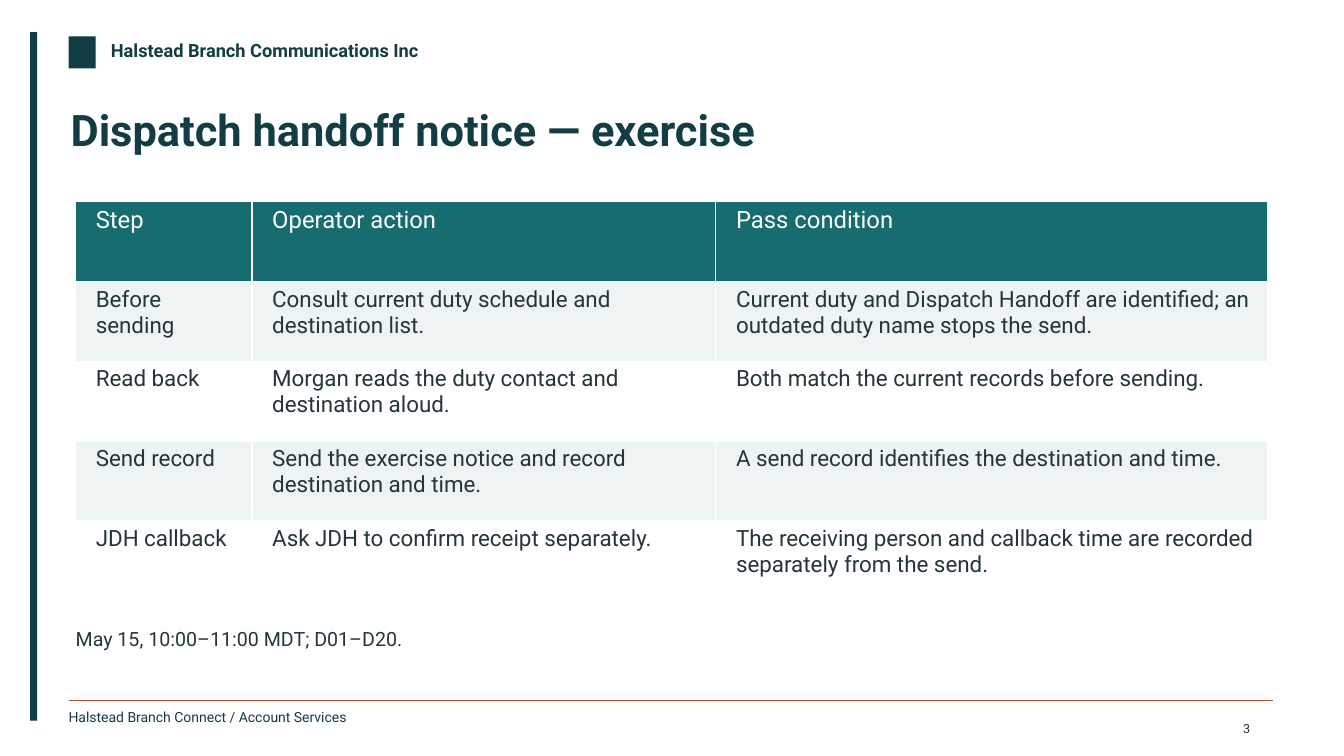
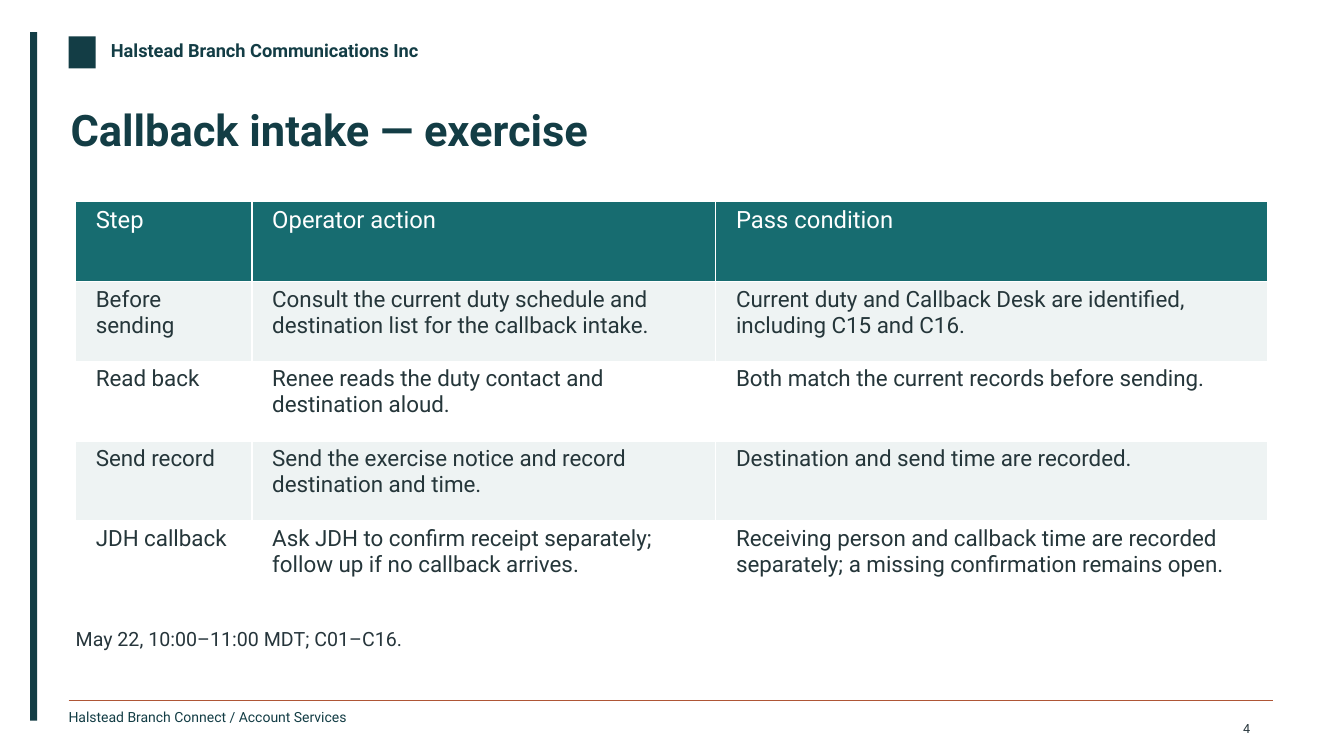
from lxml import etree
from pptx import Presentation
from pptx.dml.color import RGBColor
from pptx.enum import shapes, text
from pptx.oxml.ns import qn
from pptx.util import Inches, Pt

FONT = "Roboto"
NAVY, TEAL, RUST = "133D45", "176C70", "AF5636"
INK, TABLE_INK, WHITE, PALE = "26353B", "25363A", "FFFFFF", "EEF3F3"

COMPANY = "Halstead Branch Communications Inc"
FOOTER = "Halstead Branch Connect / Account Services"
HEADINGS = ("Step", "Operator action", "Pass condition")
COLUMN_WIDTHS = (1.75, 4.6, 5.47)
TABLE_LEFT, TABLE_TOP, TABLE_HEIGHT = 0.75, 2, 3.96
FIRST_NUMBER = 3

EXERCISES = [
    {
        "title": "Dispatch handoff notice — exercise",
        "steps": [
            ("Before sending", "Consult current duty schedule and destination list.",
             "Current duty and Dispatch Handoff are identified; an outdated duty name stops the send."),
            ("Read back", "Morgan reads the duty contact and destination aloud.",
             "Both match the current records before sending."),
            ("Send record", "Send the exercise notice and record destination and time.",
             "A send record identifies the destination and time."),
            ("JDH callback", "Ask JDH to confirm receipt separately.",
             "The receiving person and callback time are recorded separately from the send."),
        ],
        "schedule": "May 15, 10:00–11:00 MDT; D01–D20.",
    },
    {
        "title": "Callback intake — exercise",
        "steps": [
            ("Before sending",
             "Consult the current duty schedule and destination list for the callback intake.",
             "Current duty and Callback Desk are identified, including C15 and C16."),
            ("Read back", "Renee reads the duty contact and destination aloud.",
             "Both match the current records before sending."),
            ("Send record", "Send the exercise notice and record destination and time.",
             "Destination and send time are recorded."),
            ("JDH callback",
             "Ask JDH to confirm receipt separately; follow up if no callback arrives.",
             "Receiving person and callback time are recorded separately; "
             "a missing confirmation remains open."),
        ],
        "schedule": "May 22, 10:00–11:00 MDT; C01–C16.",
    },
]


def color(value):
    return RGBColor.from_string(value)


def style(paragraph, size, ink, bold=False, align=text.PP_ALIGN.LEFT):
    paragraph.alignment = align
    font = paragraph.font
    font.name, font.size, font.bold = FONT, Pt(size), bold
    font.color.rgb = color(ink)


def clear_margins(frame):
    frame.margin_left = frame.margin_top = frame.margin_right = frame.margin_bottom = 0


def add_bar(slide, box, fill):
    bar = slide.shapes.add_shape(shapes.MSO_SHAPE.RECTANGLE, *map(Inches, box))
    bar.shadow.inherit = False
    bar.fill.solid()
    bar.fill.fore_color.rgb = color(fill)
    bar.line.fill.background()
    return bar


def add_label(slide, words, box, size, ink, bold=False):
    label = slide.shapes.add_textbox(*map(Inches, box))
    frame = label.text_frame
    frame.word_wrap = True
    clear_margins(frame)
    frame.text = words
    style(frame.paragraphs[0], size, ink, bold)
    return label


def add_rule(slide, left, right, y):
    rule = slide.shapes.add_connector(
        shapes.MSO_CONNECTOR.STRAIGHT, Inches(left), Inches(y), Inches(right), Inches(y))
    rule.line.color.rgb = color(RUST)
    rule.line.width = Pt(1)
    etree.SubElement(rule.element.spPr, qn("a:effectLst"))
    return rule


def build_frame(layout, slide):
    for placeholder in list(layout.placeholders):
        if placeholder.placeholder_format.type != shapes.PP_PLACEHOLDER.TITLE:
            layout.shapes.element.remove(placeholder.element)
    parts = [
        add_bar(slide, (0.3, 0.32, 0.07, 6.83), NAVY),
        add_bar(slide, (0.68, 0.36, 0.27, 0.32), NAVY),
        add_label(slide, COMPANY, (1.1, 0.39, 3.55, 0.27), 13, NAVY, True),
        add_rule(slide, 0.68, 12.63, 6.95),
        add_label(slide, FOOTER, (0.68, 7.03, 4, 0.23), 10, NAVY),
    ]
    for part in parts:
        layout.shapes.element.append(part.element)


def set_title(slide, words):
    title = slide.shapes.title
    title.left, title.top, title.width, title.height = map(Inches, (0.7, 1.02, 11.9, 0.86))
    frame = title.text_frame
    clear_margins(frame)
    frame.auto_size = text.MSO_AUTO_SIZE.NONE
    frame.vertical_anchor = text.MSO_ANCHOR.TOP
    frame.text = words
    style(frame.paragraphs[0], 31, NAVY, True)


def add_steps(slide, steps):
    rows = [HEADINGS, *steps]
    table = slide.shapes.add_table(
        len(rows), len(HEADINGS), Inches(TABLE_LEFT), Inches(TABLE_TOP),
        Inches(sum(COLUMN_WIDTHS)), Inches(TABLE_HEIGHT)).table
    table.horz_banding = False
    for column, width in zip(table.columns, COLUMN_WIDTHS):
        column.width = Inches(width)
    for r, row in enumerate(rows):
        if r == 0:
            fill, size, ink = TEAL, 17, WHITE
        else:
            fill, size, ink = (PALE if r % 2 else WHITE), 16, TABLE_INK
        for c, words in enumerate(row):
            cell = table.cell(r, c)
            cell.margin_left = Inches(0.2)
            cell.fill.solid()
            cell.fill.fore_color.rgb = color(fill)
            cell.text = words
            style(cell.text_frame.paragraphs[0], size, ink)


def add_number(slide, number):
    label = add_label(slide, str(number), (12, 7.15, 0.4, 0.15), 9, INK)
    label.text_frame.paragraphs[0].alignment = text.PP_ALIGN.RIGHT


def main():
    prs = Presentation()
    prs.slide_width, prs.slide_height = Inches(13.33), Inches(7.5)
    layout = prs.slide_layouts[5]
    for number, exercise in enumerate(EXERCISES, FIRST_NUMBER):
        slide = prs.slides.add_slide(layout)
        if number == FIRST_NUMBER:
            build_frame(layout, slide)
        set_title(slide, exercise["title"])
        add_steps(slide, exercise["steps"])
        add_label(slide, exercise["schedule"],
                  (TABLE_LEFT, 6.22, sum(COLUMN_WIDTHS), 0.44), 14, INK)
        add_number(slide, number)
    prs.save("out.pptx")


if __name__ == "__main__":
    main()
